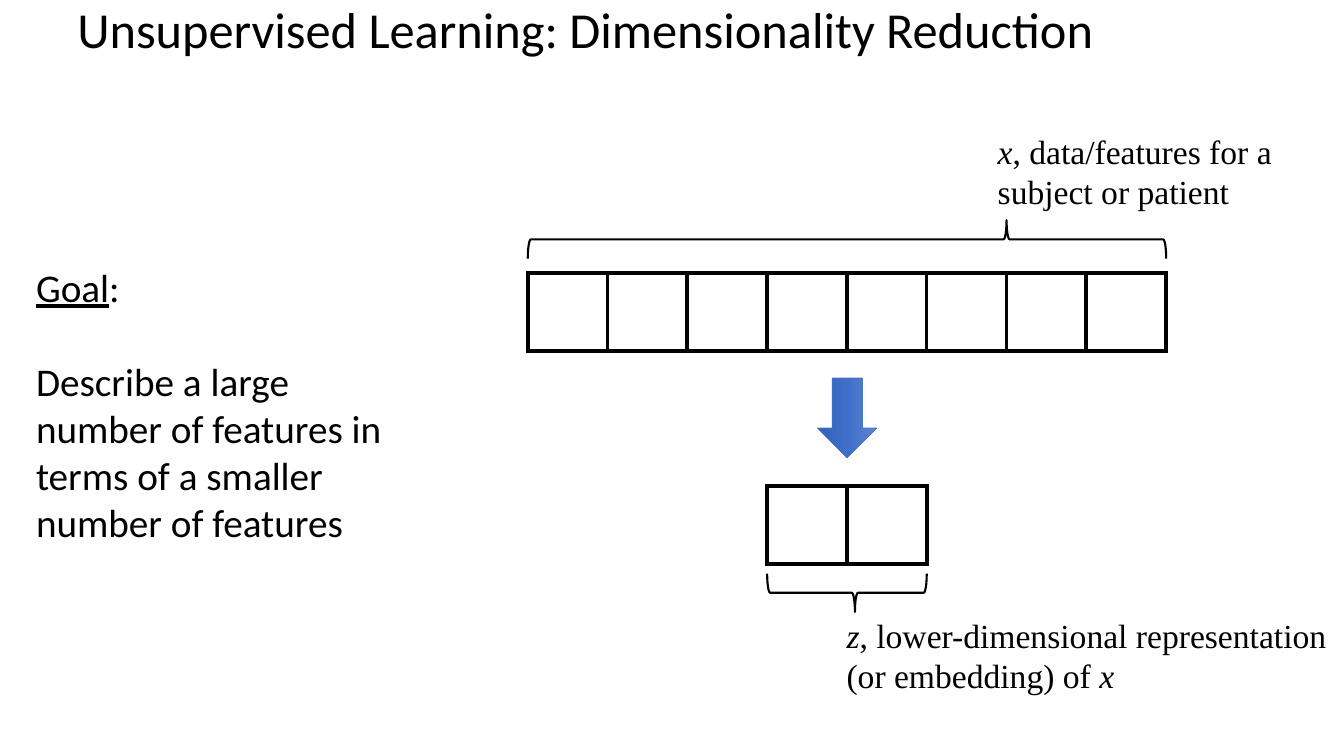
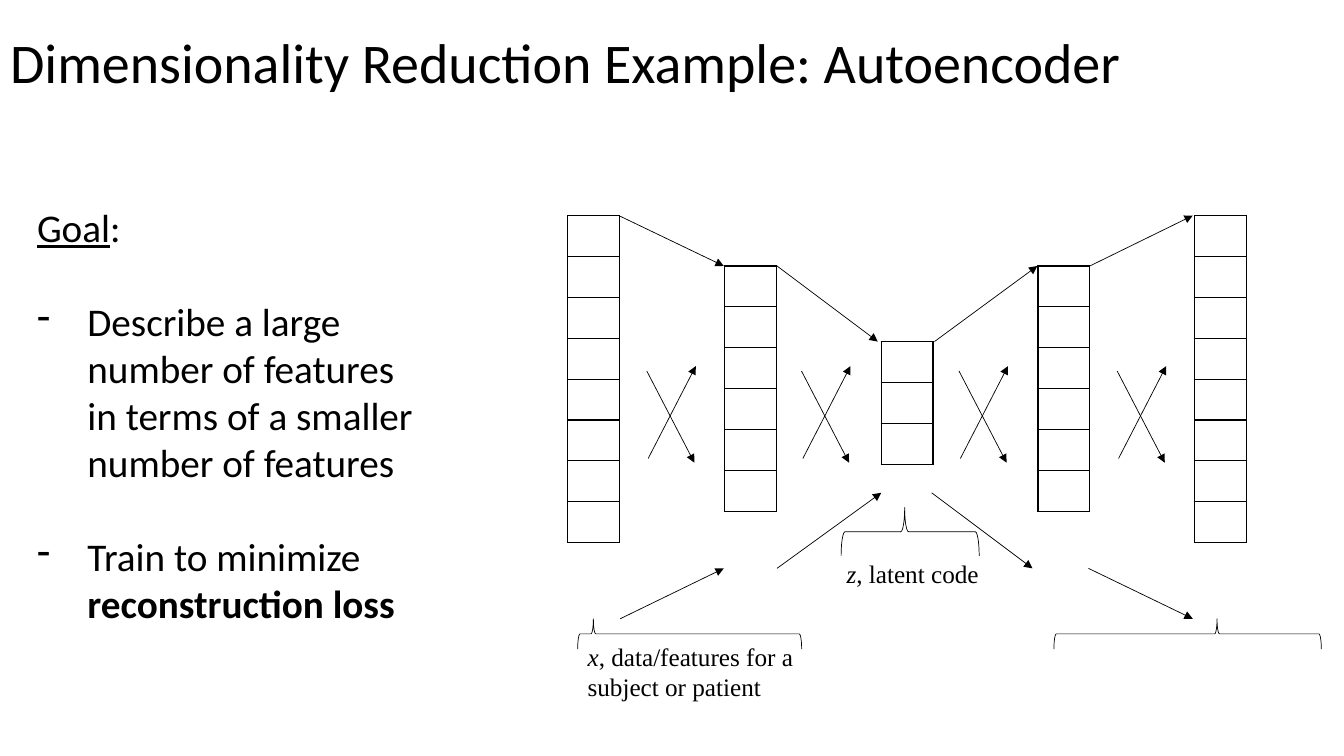
from dataclasses import dataclass
from copy import deepcopy

from lxml.etree import SubElement as Sub
from pptx import Presentation
from pptx.dml.color import RGBColor
from pptx.enum.shapes import MSO_CONNECTOR as Conn, MSO_SHAPE as Kind
from pptx.enum.text import MSO_ANCHOR as Anchor, MSO_AUTO_SIZE as Auto, PP_ALIGN as Align
from pptx.oxml.ns import qn
from pptx.slide import Slide
from pptx.util import Pt

BLACK = RGBColor(0x00, 0x00, 0x00)
EDGE = RGBColor(0x44, 0x72, 0xC4)
SHADES = (
    RGBColor(0x30, 0x62, 0xBB),
    RGBColor(0x3E, 0x70, 0xCA),
    RGBColor(0x61, 0x83, 0xCB),
)
SANS, SERIF = "Calibri", "Times New Roman"
BODY = 28  # size of the goal text
GAP = 33.5  # one line of goal text


@dataclass
class Run:
    text: str
    bold: bool = False
    ital: bool = False
    under: bool = False


@dataclass
class Para:
    runs: list[Run]
    gap: float = 0
    dash: bool = False


@dataclass
class Brace:
    x: float
    y: float
    span: float
    depth: float
    tip: float
    line: float = 0.5
    turn: int = 90


@dataclass
class Link:
    x1: float
    y1: float
    x2: float
    y2: float


GOAL = Para([Run("Goal", under=True), Run(":")])
AIM = "Describe a large number of features in terms of a smaller number of features"
DATA = [Para([Run("x", ital=True), Run(", data/features for a subject or patient")])]


# Text
def write(frame, paras: list[Para], size: float, font: str) -> None:
    frame.word_wrap = True
    frame.auto_size = Auto.NONE
    frame.vertical_anchor = Anchor.TOP
    for i, item in enumerate(paras):
        para = frame.add_paragraph() if i else frame.paragraphs[0]
        para.alignment = Align.LEFT
        para.space_before = Pt(item.gap)
        if item.dash:
            props = para._p.get_or_add_pPr()
            props.set("marL", str(Pt(36)))
            props.set("indent", str(Pt(-36)))
            Sub(props, qn("a:buFontTx"))
            Sub(props, qn("a:buChar")).set("char", "-")
        for part in item.runs:
            run = para.add_run()
            run.text = part.text
            face = run.font
            face.name, face.size = font, Pt(size)
            face.color.rgb = BLACK
            face.bold, face.italic = part.bold, part.ital
            face.underline = part.under


def head(deck, text: str, x: float, y: float, wide: float, size: float) -> Slide:
    slide = deck.slides.add_slide(deck.slide_layouts[5])
    title = slide.shapes.title
    title.left, title.top = Pt(x), Pt(y)
    title.width, title.height = Pt(wide), Pt(90)
    write(title.text_frame, [Para([Run(text)])], size, SANS)
    title.text_frame.paragraphs[0].line_spacing = 0.9
    return slide


def note(slide: Slide, x: float, y: float, wide: float, high: float,
         paras: list[Para], size: float, font: str = SERIF) -> None:
    box = slide.shapes.add_textbox(Pt(x), Pt(y), Pt(wide), Pt(high))
    write(box.text_frame, paras, size, font)


# Feature vectors
def grid(slide: Slide, x: float, y: float, cols: int, rows: int,
         wide: float, high: float, line: float) -> None:
    table = slide.shapes.add_table(
        rows, cols, Pt(x), Pt(y), Pt(cols * wide), Pt(rows * high)).table
    table.first_row = table.horz_banding = False
    for col in table.columns:
        col.width = Pt(wide)
    for row in table.rows:
        row.height = Pt(high)
    for cell in table.iter_cells():
        props = cell._tc.get_or_add_tcPr()
        for side in ("lnL", "lnR", "lnT", "lnB"):
            edge = Sub(props, qn(f"a:{side}"))
            edge.set("w", str(Pt(line)))
            Sub(Sub(edge, qn("a:solidFill")), qn("a:srgbClr")).set("val", str(BLACK))
        cell.fill.background()


# Braces and arrows
def brace(slide: Slide, b: Brace) -> None:
    # The frame is upright before it turns about its centre
    shift = (b.span - b.depth) / 2
    shape = slide.shapes.add_shape(
        Kind.LEFT_BRACE, Pt(b.x + shift), Pt(b.y - shift), Pt(b.depth), Pt(b.span))
    shape.rotation = b.turn
    shape.adjustments[0] = 0.08
    shape.adjustments[1] = b.tip
    shape.shadow.inherit = False
    shape.fill.background()
    shape.line.color.rgb = BLACK
    shape.line.width = Pt(b.line)


def arrow(slide: Slide, k: Link) -> None:
    line = slide.shapes.add_connector(
        Conn.STRAIGHT, Pt(k.x1), Pt(k.y1), Pt(k.x2), Pt(k.y2))
    line.line.color.rgb = BLACK
    line.line.width = Pt(0.5)
    Sub(line.line._get_or_add_ln(), qn("a:tailEnd")).set("type", "triangle")
    Sub(line._element.spPr, qn("a:effectLst"))


def block(slide: Slide, x: float, y: float, wide: float, high: float) -> None:
    shape = slide.shapes.add_shape(Kind.DOWN_ARROW, Pt(x), Pt(y), Pt(wide), Pt(high))
    shape.shadow.inherit = False
    shape.fill.gradient()
    shape.fill.gradient_angle = 0
    stops = shape._element.spPr.find(qn("a:gradFill")).find(qn("a:gsLst"))
    stops.append(deepcopy(stops[0]))
    for i, (stop, shade) in enumerate(zip(shape.fill.gradient_stops, SHADES)):
        stop.position = i / 2
        stop.color.rgb = shade
    shape.line.color.rgb = EDGE
    shape.line.width = Pt(0.5)


def reduce(deck) -> None:
    slide = head(deck, "Unsupervised Learning: Dimensionality Reduction", 48, 0, 864, 36)
    note(slide, 18.7, 184.3, 261.4, 211, [GOAL, Para([Run(AIM)], GAP)], BODY, SANS)
    # Input above, embedding below
    note(slide, 705.6, 90, 235.4, 65.5, DATA, 24)
    brace(slide, Brace(377, 157.3, 456, 27.4, 0.25, 1.5))
    grid(slide, 377, 195, 8, 1, 57, 55.8, 3)
    block(slide, 583.9, 270, 42.5, 57)
    grid(slide, 548, 347, 2, 1, 57, 55.8, 3)
    brace(slide, Brace(548, 409.7, 114, 27.4, 0.55, 1.5, 270))
    code = [Run("z", ital=True),
            Run(", lower-dimensional representation (or embedding) of "),
            Run("x", ital=True)]
    note(slide, 597.6, 435.6, 362.4, 65.5, [Para(code)], 24)


def encode(deck) -> None:
    slide = head(deck, "Dimensionality Reduction Example: Autoencoder", 0, 21.6, 960, 40)
    loss = [Run("Train to minimize "), Run("reconstruction loss", bold=True)]
    goals = [GOAL, Para([Run(AIM)], GAP, True), Para(loss, GAP, True)]
    note(slide, 19.4, 141.8, 292.3, 312.5, goals, BODY, SANS)

    # Layers share one middle line
    sizes, mid, half = (8, 6, 3, 6, 8), 298, 18
    for i, size in enumerate(sizes):
        grid(slide, 405.4 + 112 * i, mid - half * size, 1, size, 37, 29.2, 1)

    # Links between layer tops (-1) and layer bottoms (1)
    ends = {
        -1: ((442, 517), (555, 627), (667.5, 741), (778.5, 852)),
        1: ((443, 517), (555, 629.5), (665.5, 737.5), (777.5, 852)),
    }
    for side, pairs in ends.items():
        for (x1, x2), a, b in zip(pairs, sizes, sizes[1:]):
            arrow(slide, Link(x1, mid + side * half * a, x2, mid + side * half * b))

    # Crossed links
    for x in (462, 572.5, 685, 798):
        arrow(slide, Link(x + 1, 327.5, x + 35, 261.5))
        arrow(slide, Link(x, 265, x + 34, 330.5))

    # Braces and labels
    for item in (
        Brace(412.6, 442, 160, 21.6, 0.93),
        Brace(752.8, 442, 191, 21.6, 0.39),
        Brace(600.8, 362.5, 98.6, 34.6, 0.54),
    ):
        brace(slide, item)
    note(slide, 412.6, 454.3, 167, 51, DATA, 18)
    code = [Run("z", ital=True), Run(", latent code")]
    note(slide, 597.6, 395.3, 167, 29, [Para(code)], 18)


def main() -> None:
    deck = Presentation()
    deck.slide_width, deck.slide_height = Pt(960), Pt(540)
    reduce(deck)
    encode(deck)
    deck.save("out.pptx")


if __name__ == "__main__":
    main()
